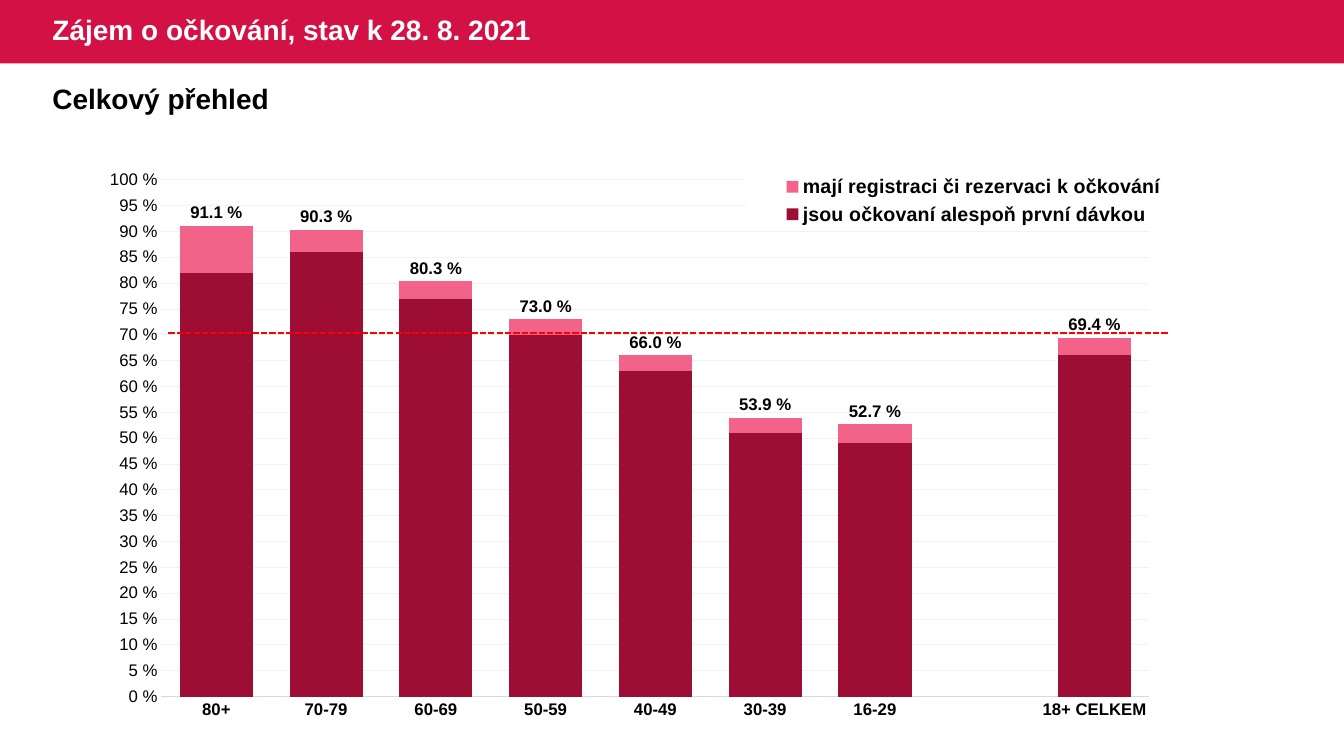
"""Build the vaccination interest slide with its overlapping column chart."""
from dataclasses import dataclass
from typing import Any, Optional

import lxml.etree
import pptx
import pptx.chart.data
import pptx.dml.color
import pptx.enum.chart
import pptx.enum.dml
import pptx.enum.shapes
import pptx.enum.text
import pptx.oxml
import pptx.oxml.ns
import pptx.util

Inches = pptx.util.Inches
Pt = pptx.util.Pt
RGBColor = pptx.dml.color.RGBColor
qn = pptx.oxml.ns.qn

BLACK = RGBColor(0x00, 0x00, 0x00)
WHITE = RGBColor(0xFF, 0xFF, 0xFF)
BANNER = RGBColor(0xD3, 0x11, 0x45)
PINK = RGBColor(0xF2, 0x62, 0x89)
MAROON = RGBColor(0x9E, 0x0D, 0x34)
RED = RGBColor(0xFF, 0x00, 0x00)
AXIS_GREY = RGBColor(0xD9, 0xD9, 0xD9)
GRID_GREY = RGBColor(0xF2, 0xF2, 0xF2)


@dataclass(frozen=True)
class Series:
    name: str
    values: tuple[Optional[float], ...]
    color: RGBColor
    labelled: bool


@dataclass(frozen=True)
class Layout:
    x: float
    y: float
    w: float
    h: float


AGE_GROUPS = ("80+", "70-79", "60-69", "50-59", "40-49", "30-39", "16-29", "", "18+ CELKEM")
SERIES = (
    Series("mají registraci či rezervaci k očkování",
           (91.1, 90.3, 80.3, 73, 66, 53.9, 52.7, None, 69.4), PINK, True),
    Series("jsou očkovaní alespoň první dávkou",
           (82, 86, 77, 70, 63, 51, 49, None, 66), MAROON, False),
)
PLOT = Layout(0.045, 0.032, 0.888, 0.895)
LEGEND = Layout(0.57, 0.016, 0.41, 0.104)


def set_font(font: Any, size: float, bold: bool, color: RGBColor = BLACK) -> None:
    font.name = "Arial"
    font.size = Pt(size)
    font.bold = bold
    font.color.rgb = color


def set_text(tf: Any, text: str, color: RGBColor) -> None:
    tf.text = text
    tf.word_wrap = True
    p = tf.paragraphs[0]
    p.alignment = pptx.enum.text.PP_ALIGN.LEFT
    for r in p.runs:
        set_font(r.font, 20, True, color)


def set_layout(parent: Any, index: int, layout: Layout, inner: bool) -> None:
    for old in parent.findall(qn("c:layout")):
        parent.remove(old)
    element = lxml.etree.SubElement(parent, qn("c:layout"))
    parent.insert(index, element)
    manual = lxml.etree.SubElement(element, qn("c:manualLayout"))
    settings = [("layoutTarget", "inner")] if inner else []
    settings += [("xMode", "edge"), ("yMode", "edge")]
    settings += [(key, str(getattr(layout, key))) for key in "xywh"]
    for tag, value in settings:
        lxml.etree.SubElement(manual, qn(f"c:{tag}")).set("val", value)


def add_banner(slide: Any) -> None:
    sp = slide.shapes.add_shape(pptx.enum.shapes.MSO_SHAPE.RECTANGLE,
                                0, 0, Inches(13.33), Inches(0.63))
    sp.shadow.inherit = False
    sp.fill.solid()
    sp.fill.fore_color.rgb = BANNER
    sp.line.fill.background()
    title = slide.shapes.title
    title._element.addprevious(sp._element)
    title.left, title.top, title.width, title.height = 0, 0, Inches(5.9), Inches(0.63)
    title.left = Inches(0.42)
    tf = title.text_frame
    set_text(tf, "Zájem o očkování, stav k 28. 8. 2021", WHITE)
    tf.auto_size = pptx.enum.text.MSO_AUTO_SIZE.NONE
    tf.vertical_anchor = pptx.enum.text.MSO_ANCHOR.MIDDLE
    tf.paragraphs[0].line_spacing = 0.9


def format_axes(chart: Any) -> None:
    ages, percent = chart.category_axis, chart.value_axis
    for axis, bold in ((ages, True), (percent, False)):
        axis.major_tick_mark = pptx.enum.chart.XL_TICK_MARK.NONE
        axis.minor_tick_mark = pptx.enum.chart.XL_TICK_MARK.NONE
        set_font(axis.tick_labels.font, 12, bold)
    ages.format.line.color.rgb = AXIS_GREY
    ages.format.line.width = Pt(0.75)
    percent.format.line.fill.background()
    percent.minimum_scale, percent.maximum_scale, percent.major_unit = 0, 100, 5
    percent.tick_labels.number_format = '0" %"'
    percent.tick_labels.number_format_is_linked = False
    percent.has_major_gridlines = True
    percent.major_gridlines.format.line.color.rgb = GRID_GREY
    percent.major_gridlines.format.line.width = Pt(0.5)


def format_series(plot: Any) -> None:
    plot.gap_width = 50
    plot.overlap = 100
    plot.vary_by_categories = False
    for item, series in zip(SERIES, plot.series):
        series.format.fill.solid()
        series.format.fill.fore_color.rgb = item.color
        series.invert_if_negative = False
        if item.labelled:
            labels = series.data_labels
            labels.show_value = True
            labels.number_format = '0.0" %"'
            labels.number_format_is_linked = False
            labels.position = pptx.enum.chart.XL_LABEL_POSITION.OUTSIDE_END
            set_font(labels.font, 12, True)


def format_legend(chart: Any) -> None:
    chart.has_legend = True
    legend = chart.legend
    legend.position = pptx.enum.chart.XL_LEGEND_POSITION.TOP
    legend.include_in_layout = False
    set_font(legend.font, 14, True)
    element = legend._element
    set_layout(element, 1, LEGEND, False)
    background = lxml.etree.Element(qn("c:spPr"))
    fill = lxml.etree.SubElement(background, qn("a:solidFill"))
    lxml.etree.SubElement(fill, qn("a:srgbClr")).set("val", str(WHITE))
    element.find(qn("c:txPr")).addprevious(background)


def add_vaccination_chart(slide: Any) -> None:
    data = pptx.chart.data.CategoryChartData(number_format="0.0")
    data.categories = AGE_GROUPS
    for item in SERIES:
        data.add_series(item.name, item.values)
    chart = slide.shapes.add_chart(
        pptx.enum.chart.XL_CHART_TYPE.COLUMN_CLUSTERED,
        Inches(1.09), Inches(1.6), Inches(11.05), Inches(5.73), data).chart
    chart.has_title = False
    set_font(chart.font, 10, False)
    format_axes(chart)
    format_series(chart.plots[0])
    format_legend(chart)
    set_layout(chart._chartSpace.chart.plotArea, 0, PLOT, True)


def add_threshold(slide: Any) -> None:
    line = slide.shapes.add_connector(pptx.enum.shapes.MSO_CONNECTOR.STRAIGHT,
                                      Inches(1.67), Inches(3.3), Inches(11.59), Inches(3.3))
    line.line.color.rgb = RED
    line.line.width = Pt(1.5)
    line.line.dash_style = pptx.enum.dml.MSO_LINE.SQUARE_DOT
    lxml.etree.SubElement(line._element.spPr, qn("a:effectLst"))


def add_subtitle(slide: Any) -> None:
    sp = slide.shapes.add_textbox(Inches(0.42), Inches(0.76), Inches(12.39), Inches(0.44))
    set_text(sp.text_frame, "Celkový přehled", BLACK)


def main() -> None:
    prs = pptx.Presentation()
    prs.slide_width, prs.slide_height = Inches(13.33), Inches(7.5)
    slide = prs.slides.add_slide(prs.slide_layouts.get_by_name("Title Only"))
    add_banner(slide)
    add_vaccination_chart(slide)
    add_threshold(slide)
    add_subtitle(slide)
    prs.save("out.pptx")


if __name__ == "__main__":
    main()
